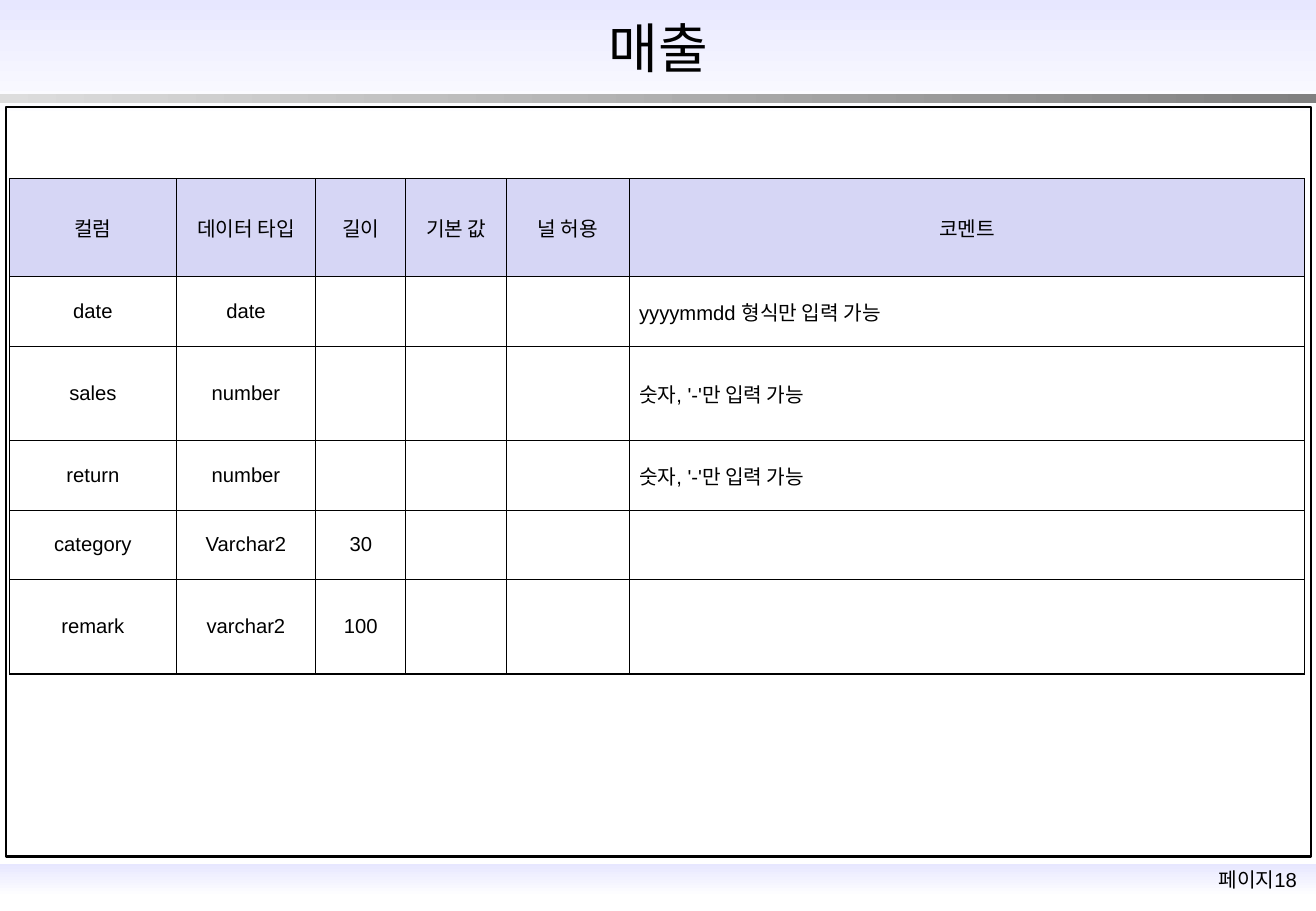
from dataclasses import dataclass

from lxml import etree
from pptx import Presentation
from pptx.dml.color import RGBColor
from pptx.enum.shapes import MSO_SHAPE
from pptx.enum.text import MSO_ANCHOR, PP_ALIGN
from pptx.oxml.ns import qn
from pptx.slide import Slide
from pptx.table import _Cell
from pptx.text.text import TextFrame
from pptx.util import Inches, Pt

RECTANGLE = MSO_SHAPE.RECTANGLE
MIDDLE = MSO_ANCHOR.MIDDLE
CENTER = PP_ALIGN.CENTER
LEFT = PP_ALIGN.LEFT


@dataclass(frozen=True)
class Theme:
    font: str = "Arial"
    ink: str = "000000"
    lavender: str = "E7E7FF"
    white: str = "FFFFFF"
    light_gray: str = "DDDDDD"
    dark_gray: str = "808080"
    header: str = "D6D6F5"
    title_size: int = 32
    text_size: int = 12
    frame_width: float = 1.5
    grid_width: float = 0.75


@dataclass(frozen=True)
class Band:
    top: float
    height: float
    start: str
    end: str
    angle: int


@dataclass(frozen=True)
class Column:
    heading: str
    width: float
    align: PP_ALIGN = CENTER


@dataclass(frozen=True)
class Field:
    height: float
    name: str
    data_type: str
    length: str = ""
    default: str = ""
    nullable: str = ""
    comment: str = ""

    def values(self) -> list[str]:
        return [self.name, self.data_type, self.length,
                self.default, self.nullable, self.comment]


THEME = Theme()
SLIDE_WIDTH = 10.83
SLIDE_HEIGHT = 7.5
HEADER_HEIGHT = 0.81

BANDS = [
    Band(7.11, 0.27, THEME.lavender, THEME.white, 270),
    Band(0, 1, THEME.lavender, THEME.white, 270),
    Band(0.77, 0.08, THEME.light_gray, THEME.dark_gray, 0),
]
COLUMNS = [
    Column("컬럼", 1.37),
    Column("데이터 타입", 1.15),
    Column("길이", 0.74),
    Column("기본 값", 0.83),
    Column("널 허용", 1.01),
    Column("코멘트", 5.56, LEFT),
]
NUMBER_RULE = "숫자, '-'만 입력 가능"
FIELDS = [
    Field(0.57, "date", "date", comment="yyyymmdd 형식만 입력 가능"),
    Field(0.78, "sales", "number", comment=NUMBER_RULE),
    Field(0.57, "return", "number", comment=NUMBER_RULE),
    Field(0.57, "category", "Varchar2", "30"),
    Field(0.78, "remark", "varchar2", "100"),
]


def rgb(value: str) -> RGBColor:
    return RGBColor.from_string(value)


def write(frame: TextFrame, text: str, size: int, align: PP_ALIGN) -> None:
    paragraph = frame.paragraphs[0]
    paragraph.text = text
    paragraph.alignment = align
    font = paragraph.font
    font.name = THEME.font
    font.size = Pt(size)
    font.bold = False
    font.color.rgb = rgb(THEME.ink)


def draw_band(slide: Slide, band: Band) -> None:
    strip = slide.shapes.add_shape(
        RECTANGLE, 0, Inches(band.top), Inches(SLIDE_WIDTH), Inches(band.height))
    strip.shadow.inherit = False
    strip.line.fill.background()
    strip.fill.gradient()
    strip.fill.gradient_angle = band.angle
    for stop, color in zip(strip.fill.gradient_stops, (band.start, band.end)):
        stop.color.rgb = rgb(color)


def draw_page_number(slide: Slide) -> None:
    page = slide.shapes.add_textbox(
        Inches(9.82), Inches(7.09), Inches(1.06), Inches(0.3))
    page.text_frame.word_wrap = True
    write(page.text_frame, "페이지18", THEME.text_size, CENTER)


def draw_frame(slide: Slide) -> None:
    border = slide.shapes.add_shape(
        RECTANGLE, Inches(0.05), Inches(0.88), Inches(10.74), Inches(6.17))
    border.shadow.inherit = False
    border.fill.background()
    border.line.color.rgb = rgb(THEME.ink)
    border.line.width = Pt(THEME.frame_width)


def draw_title(slide: Slide) -> None:
    title = slide.shapes.title
    title.left, title.top = Inches(1.64), Inches(0.13)
    title.width, title.height = Inches(7.56), Inches(0.51)
    frame = title.text_frame
    frame.margin_left = frame.margin_right = 0
    frame.margin_top = frame.margin_bottom = 0
    frame.vertical_anchor = MIDDLE
    write(frame, "매출", THEME.title_size, CENTER)
    title.element.getparent().append(title.element)


def outline(cell: _Cell) -> None:
    properties = cell._tc.get_or_add_tcPr()
    for side in ("a:lnL", "a:lnR", "a:lnT", "a:lnB"):
        line = etree.SubElement(
            properties, qn(side), w=str(Pt(THEME.grid_width)))
        fill = etree.SubElement(line, qn("a:solidFill"))
        etree.SubElement(fill, qn("a:srgbClr"), val=THEME.ink)


def fill_cell(cell: _Cell, text: str, align: PP_ALIGN, is_header: bool) -> None:
    cell.margin_left = cell.margin_right = Inches(0.08)
    cell.margin_top = cell.margin_bottom = Inches(0.04)
    cell.vertical_anchor = MIDDLE
    outline(cell)
    if is_header:
        cell.fill.solid()
        cell.fill.fore_color.rgb = rgb(THEME.header)
    else:
        cell.fill.background()
    write(cell.text_frame, text, THEME.text_size, align)


def draw_schema(slide: Slide) -> None:
    heights = [HEADER_HEIGHT] + [field.height for field in FIELDS]
    rows = [[column.heading for column in COLUMNS]]
    rows += [field.values() for field in FIELDS]
    schema = slide.shapes.add_table(
        len(rows), len(COLUMNS), Inches(0.08), Inches(1.47),
        Inches(sum(column.width for column in COLUMNS)),
        Inches(sum(heights))).table
    schema.horz_banding = False
    for index, column in enumerate(COLUMNS):
        schema.columns[index].width = Inches(column.width)
    for row, (height, values) in enumerate(zip(heights, rows)):
        schema.rows[row].height = Inches(height)
        is_header = row == 0
        for index, (column, value) in enumerate(zip(COLUMNS, values)):
            align = CENTER if is_header else column.align
            fill_cell(schema.cell(row, index), value, align, is_header)


def main() -> None:
    deck = Presentation()
    deck.slide_width = Inches(SLIDE_WIDTH)
    deck.slide_height = Inches(SLIDE_HEIGHT)
    slide = deck.slides.add_slide(deck.slide_layouts.get_by_name("Title Only"))
    for band in BANDS:
        draw_band(slide, band)
    draw_page_number(slide)
    draw_frame(slide)
    draw_title(slide)
    draw_schema(slide)
    deck.save("out.pptx")


if __name__ == "__main__":
    main()
